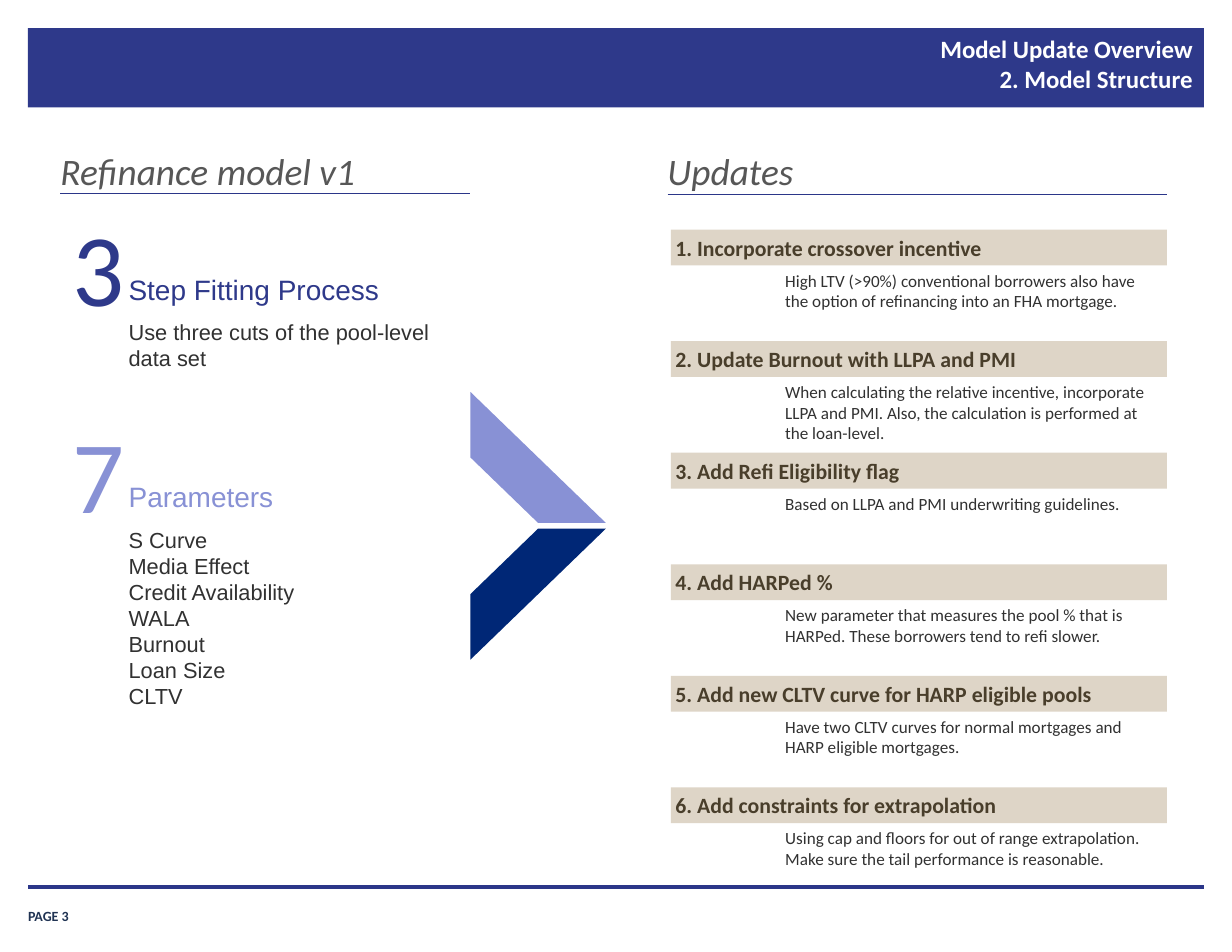
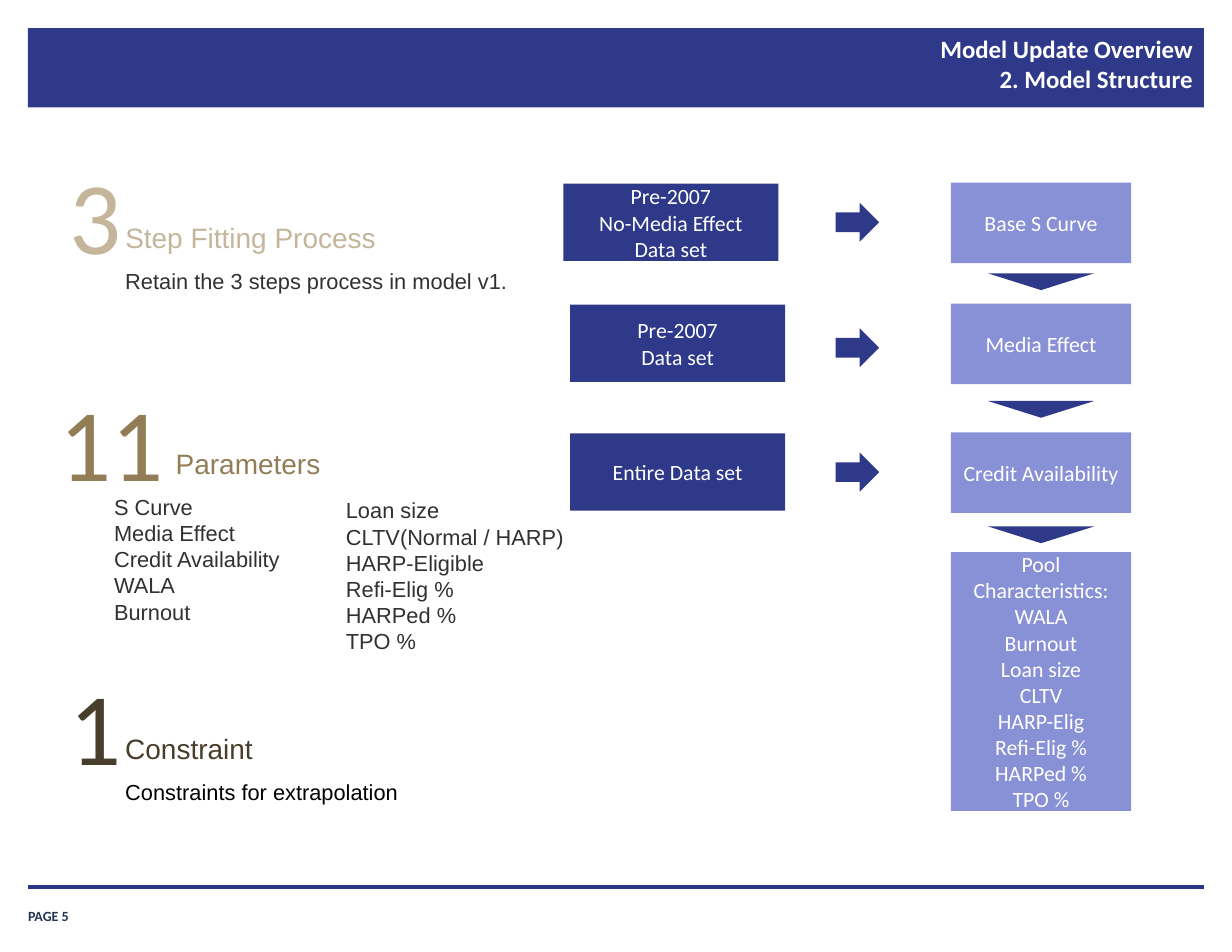
from dataclasses import dataclass

from lxml.etree import SubElement
from pptx import Presentation
from pptx.dml.color import RGBColor
from pptx.enum.shapes import MSO_CONNECTOR, MSO_SHAPE as Preset
from pptx.enum.text import MSO_ANCHOR as Anchor, MSO_AUTO_SIZE as AutoSize, PP_ALIGN as Align
from pptx.oxml.ns import qn
from pptx.shapes.autoshape import Shape
from pptx.slide import Slide
from pptx.util import Inches, Pt

COLORS = {
    "navy": "2E398A", "rule": "2B3689", "deep": "002776", "lavender": "8891D5",
    "sand": "DED5C7", "tan": "C4B59B", "bronze": "937D57", "brown": "493E2B",
    "heading": "575757", "body": "313131", "page": "203353",
    "white": "FFFFFF", "black": "000000",
}
TITLE = "Model Update Overview\v2. Model Structure"


@dataclass(frozen=True)
class Style:
    size: float
    color: str
    face: str = "Calibri"
    bold: bool = False
    italic: bool = False
    align: Align = Align.LEFT


@dataclass(frozen=True)
class Box:
    left: float
    top: float
    width: float
    height: float

    def lengths(self) -> list[Inches]:
        return [Inches(v) for v in (self.left, self.top, self.width, self.height)]


@dataclass(frozen=True)
class Heading:
    text: str
    left: float
    width: float
    rule_y: float


@dataclass(frozen=True)
class KeyFigure:
    number: str
    caption: str
    details: list[str]
    left: float
    top: float
    color: str
    caption_width: float = 2.96
    details_width: float = 2.96
    number_width: float = 0.4
    details_left: float | None = None
    details_color: str = "body"


@dataclass(frozen=True)
class Update:
    title: str
    note: str
    note_height: float = 0.45


@dataclass(frozen=True)
class FitStep:
    data_set: list[str]
    data_left: float
    result: str
    top: float
    arrow_top: float
    pointer_top: float


TITLE_STYLE = Style(16, "white", bold=True, align=Align.RIGHT)
PAGE_STYLE = Style(9, "page", bold=True)
HEADING_STYLE = Style(24, "heading", italic=True)
UPDATE_STYLE = Style(14, "brown", bold=True)
NOTE_STYLE = Style(11, "body")
DETAIL_STYLE = Style(14, "body", "Arial")
FLOW_STYLE = Style(14, "white", align=Align.CENTER)

# Update list grid
FIRST_UPDATE, LAST_UPDATE, UPDATE_HEIGHT = 2.05, 7.03, 0.32

HEADINGS = [Heading("Refinance model v1", 0.54, 3.66, 1.73),
            Heading("Updates", 5.96, 4.46, 1.74)]

V1_FIGURES = [
    KeyFigure("7", "Parameters",
              ["S Curve", "Media Effect", "Credit Availability", "WALA",
               "Burnout", "Loan Size", "CLTV"],
              0.65, 3.67, "lavender", caption_width=1.98),
    KeyFigure("3", "Step Fitting Process", ["Use three cuts of the pool-level data set"],
              0.65, 1.82, "navy", caption_width=2.67),
]

UPDATES = [
    Update("Incorporate crossover incentive",
           "High LTV (>90%) conventional borrowers also have the option of "
           "refinancing into an FHA mortgage."),
    Update("Update Burnout with LLPA and PMI",
           "When calculating the relative incentive, incorporate LLPA and PMI. "
           "Also, the calculation is performed at the loan-level.", 0.63),
    Update("Add Refi Eligibility flag", "Based on LLPA and PMI underwriting guidelines.", 0.26),
    Update("Add HARPed %",
           "New parameter that measures the pool % that is HARPed. "
           "These borrowers tend to refi slower."),
    Update("Add new CLTV curve for HARP eligible pools",
           "Have two CLTV curves for normal mortgages and HARP eligible mortgages."),
    Update("Add constraints for extrapolation",
           "Using cap and floors for out of range extrapolation. "
           "Make sure the tail performance is reasonable."),
]

V2_FIGURES = [
    KeyFigure("1", "Constraint", ["Constraints for extrapolation"],
              0.62, 5.92, "brown", details_color="black"),
    KeyFigure("3", "Step Fitting Process", ["Retain the 3 steps process in model v1."],
              0.62, 1.36, "tan", caption_width=2.61, details_width=3.97),
    KeyFigure("11", "Parameters",
              ["S Curve", "Media Effect", "Credit Availability", "WALA", "Burnout"],
              0.52, 3.38, "bronze", caption_width=1.98, number_width=0.95, details_left=0.92),
]
MORE_PARAMETERS = ["Loan size", "CLTV(Normal / HARP)", "HARP-Eligible",
                   "Refi-Elig %", "HARPed %", "TPO %"]

FIT_STEPS = [
    FitStep(["Pre-2007", "No-Media Effect", "Data set"], 5.03, "Base S Curve", 1.63, 1.81, 2.44),
    FitStep(["Pre-2007", "Data set"], 5.09, "Media Effect", 2.71, 2.93, 3.58),
    FitStep(["Entire Data set"], 5.09, "Credit Availability", 3.86, 4.04, 4.7),
]
POOL_CHARACTERISTICS = ["Pool Characteristics:", "WALA", "Burnout", "Loan size", "CLTV",
                        "HARP-Elig", "Refi-Elig %", "HARPed %", "TPO %"]


def rgb(name: str) -> RGBColor:
    return RGBColor.from_string(COLORS[name])


def write(shape: Shape, lines: list[str], style: Style, inset_x: float = 0.1,
          inset_y: float = 0.05, anchor: Anchor = Anchor.TOP, indent: float = 0) -> None:
    frame = shape.text_frame
    frame.text = "\n".join(lines)
    frame.word_wrap = True
    frame.auto_size = AutoSize.NONE
    frame.vertical_anchor = anchor
    frame.margin_left = frame.margin_right = Inches(inset_x)
    frame.margin_top = frame.margin_bottom = Inches(inset_y)
    for paragraph in frame.paragraphs:
        paragraph.alignment = style.align
        if indent:
            paragraph._p.get_or_add_pPr().set("marL", str(Inches(indent)))
        font = paragraph.font
        font.name, font.size = style.face, Pt(style.size)
        font.bold, font.italic = style.bold, style.italic
        font.color.rgb = rgb(style.color)


def add_block(shapes, preset: Preset, box: Box, color: str) -> Shape:
    block = shapes.add_shape(preset, *box.lengths())
    block.shadow.inherit = False
    block.fill.solid()
    block.fill.fore_color.rgb = rgb(color)
    block.line.fill.background()
    return block


def add_rule(slide: Slide, left: float, right: float, y: float, weight: float) -> None:
    rule = slide.shapes.add_connector(MSO_CONNECTOR.STRAIGHT, Inches(left), Inches(y),
                                      Inches(right), Inches(y))
    rule.line.color.rgb = rgb("rule")
    rule.line.width = Pt(weight)
    SubElement(rule.element.spPr, qn("a:effectLst"))


def add_page(prs: Presentation, number: int) -> Slide:
    """Add a slide with the title band, the footer rule and the page number."""
    slide = prs.slides.add_slide(prs.slide_layouts[5])
    band = add_block(slide.shapes, Preset.RECTANGLE, Box(0.25, 0.25, 10.5, 0.71), "navy")
    title = slide.shapes.title
    title.element.addprevious(band.element)
    title.left, title.top, title.width, title.height = Box(3.32, 0.24, 7.44, 0.74).lengths()
    write(title, [TITLE], TITLE_STYLE, 0.11, 0.06)

    page = slide.shapes.add_textbox(*Box(0.25, 8.02, 0.91, 0.23).lengths())
    write(page, [f"PAGE {number}"], PAGE_STYLE, 0, 0, Anchor.BOTTOM)
    add_rule(slide, 0.25, 10.75, 7.92, 2)
    return slide


def add_heading(slide: Slide, heading: Heading) -> None:
    label = slide.shapes.add_textbox(*Box(heading.left, 1.32, heading.width, 0.4).lengths())
    write(label, [heading.text], HEADING_STYLE, 0, 0)
    add_rule(slide, heading.left, heading.left + heading.width, heading.rule_y, 0.75)


def add_key_figure(slide: Slide, figure: KeyFigure) -> None:
    """Group a large number with its caption and the details below it."""
    group = slide.shapes.add_group_shape().shapes
    caption_left = figure.left + figure.number_width
    details_left = caption_left if figure.details_left is None else figure.details_left

    number = group.add_textbox(*Box(figure.left, figure.top, figure.number_width, 1.11).lengths())
    write(number, [figure.number], Style(66, figure.color, align=Align.CENTER), 0, 0)
    caption = group.add_textbox(
        *Box(caption_left, figure.top + 0.56, figure.caption_width, 0.4).lengths())
    write(caption, [figure.caption], Style(18, figure.color, "Arial"))
    details = group.add_textbox(
        *Box(details_left, figure.top + 0.98, figure.details_width,
             0.1 + 0.24 * len(figure.details)).lengths())
    write(details, figure.details, Style(14, figure.details_color, "Arial"))


def add_update(slide: Slide, index: int, update: Update) -> None:
    top = FIRST_UPDATE + index * (LAST_UPDATE - FIRST_UPDATE) / (len(UPDATES) - 1)
    bar = add_block(slide.shapes, Preset.RECTANGLE, Box(5.99, top, 4.43, UPDATE_HEIGHT), "sand")
    write(bar, [f"{index + 1}. {update.title}"], UPDATE_STYLE, 0.04, 0.04, Anchor.MIDDLE)
    note = slide.shapes.add_textbox(
        *Box(6.47, top + UPDATE_HEIGHT, 3.95, update.note_height).lengths())
    write(note, [update.note], NOTE_STYLE, 0.04, 0.04, indent=0.5)


def add_flow_box(slide: Slide, box: Box, color: str, lines: list[str]) -> None:
    block = add_block(slide.shapes, Preset.RECTANGLE, box, color)
    write(block, lines, FLOW_STYLE, anchor=Anchor.MIDDLE)


def add_fit_step(slide: Slide, step: FitStep) -> None:
    """Draw data set, arrow, fitted result and the pointer to the next result."""
    add_flow_box(slide, Box(step.data_left, step.top + 0.01, 1.92, 0.69), "navy", step.data_set)
    add_block(slide.shapes, Preset.RIGHT_ARROW, Box(7.46, step.arrow_top, 0.39, 0.35), "navy")
    add_flow_box(slide, Box(8.49, step.top, 1.61, 0.72), "lavender", [step.result])
    pointer = add_block(slide.shapes, Preset.ISOSCELES_TRIANGLE,
                        Box(8.82, step.pointer_top, 0.95, 0.15), "navy")
    pointer.rotation = 180


def build_updates(prs: Presentation) -> None:
    slide = add_page(prs, 3)
    for heading in HEADINGS:
        add_heading(slide, heading)
    for figure in V1_FIGURES:
        add_key_figure(slide, figure)

    # Chevron made of two mirrored stripes
    chevron = slide.shapes.add_group_shape().shapes
    add_block(chevron, Preset.DIAGONAL_STRIPE, Box(4.2, 4.72, 1.21, 1.17), "deep")
    upper = add_block(chevron, Preset.DIAGONAL_STRIPE, Box(4.2, 3.5, 1.21, 1.17), "lavender")
    upper.element.spPr.get_or_add_xfrm().set("flipV", "1")

    for index, update in enumerate(UPDATES):
        add_update(slide, index, update)


def build_structure(prs: Presentation) -> None:
    slide = add_page(prs, 5)
    for step in FIT_STEPS:
        add_fit_step(slide, step)
    add_flow_box(slide, Box(8.49, 4.93, 1.61, 2.31), "lavender", POOL_CHARACTERISTICS)

    # Second column of parameters
    more = slide.shapes.add_textbox(*Box(2.99, 4.39, 2.96, 1.51).lengths())
    write(more, MORE_PARAMETERS, DETAIL_STYLE)
    for figure in V2_FIGURES:
        add_key_figure(slide, figure)


def main() -> None:
    prs = Presentation()
    prs.slide_width, prs.slide_height = Inches(11), Inches(8.5)
    build_updates(prs)
    build_structure(prs)
    prs.save("out.pptx")


if __name__ == "__main__":
    main()
